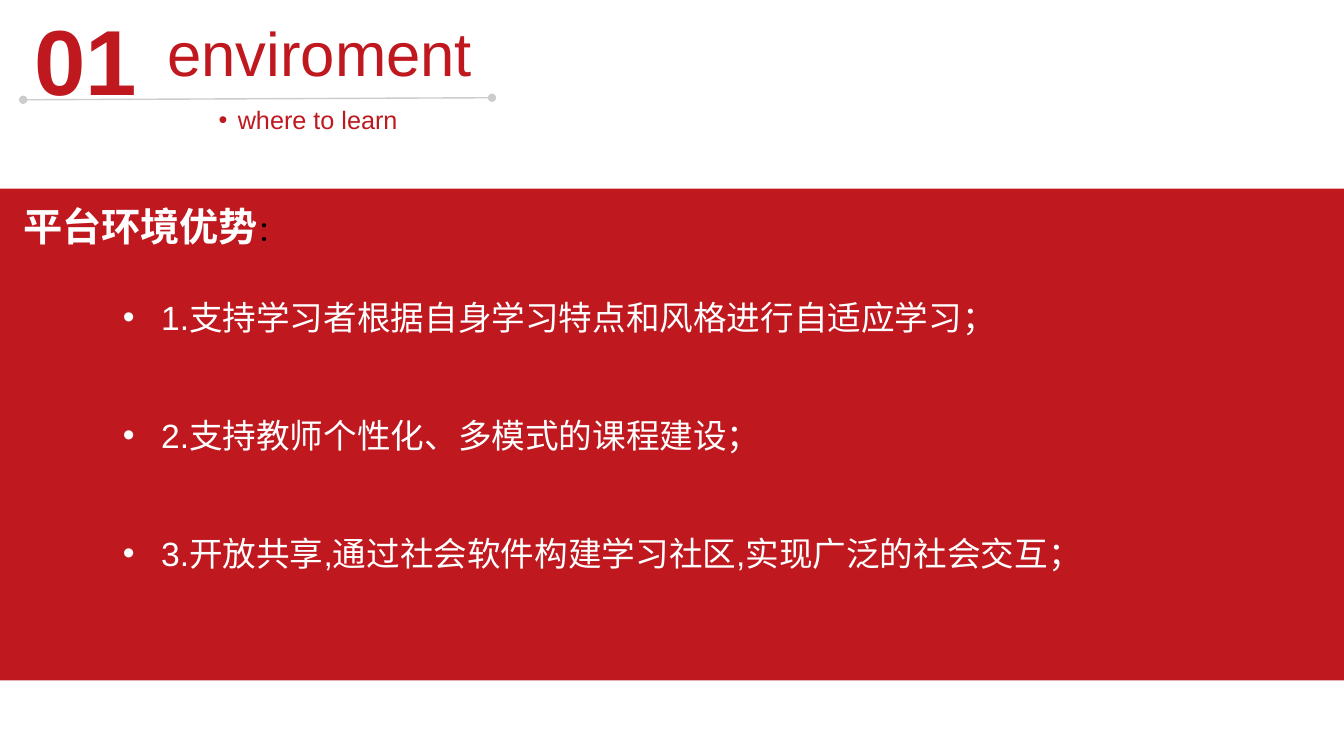
from lxml import etree
from pptx import Presentation
from pptx.dml.color import RGBColor
from pptx.enum.lang import MSO_LANGUAGE_ID
from pptx.enum.shapes import MSO_CONNECTOR, MSO_SHAPE
from pptx.enum.text import MSO_ANCHOR, MSO_AUTO_SIZE, PP_ALIGN
from pptx.oxml.ns import qn
from pptx.util import Inches, Pt

STRAIGHT = MSO_CONNECTOR.STRAIGHT
RECTANGLE = MSO_SHAPE.RECTANGLE
TOP = MSO_ANCHOR.TOP
NO_FIT = MSO_AUTO_SIZE.NONE
LEFT, CENTER = PP_ALIGN.LEFT, PP_ALIGN.CENTER
CHINESE = MSO_LANGUAGE_ID.SIMPLIFIED_CHINESE
ENGLISH = MSO_LANGUAGE_ID.ENGLISH_US

FONT = "Arial"
COLORS = {"red": "BF181F", "white": "FFFFFF", "black": "000000", "rule": "CCCCCC"}


def prepare_frame(shape, box, inset=None):
    shape.left, shape.top, shape.width, shape.height = (Inches(v) for v in box)
    frame = shape.text_frame
    frame.word_wrap = True
    frame.auto_size = NO_FIT
    frame.vertical_anchor = TOP
    if inset is not None:
        frame.margin_left = frame.margin_right = Inches(inset)
        frame.margin_top = frame.margin_bottom = Inches(inset)
    return frame


def write(paragraph, text, size, color, bold=False, align=LEFT, indent=0,
          level=0, spacing=1.0, before=0, language=ENGLISH):
    paragraph.level = level
    paragraph.alignment = align
    paragraph.line_spacing = spacing
    paragraph.space_before = Pt(before)
    if indent:
        properties = paragraph._p.get_or_add_pPr()
        properties.set("marL", str(Inches(indent)))
        properties.set("indent", str(-Inches(indent)))
        etree.SubElement(properties, qn("a:buFont")).set("typeface", FONT)
        etree.SubElement(properties, qn("a:buChar")).set("char", "•")
    run = paragraph.add_run()
    run.text = text
    run.font.name = FONT
    run.font.size = Pt(size)
    run.font.bold = bold
    run.font.color.rgb = RGBColor.from_string(COLORS[color])
    run.font.language_id = language


prs = Presentation()
prs.slide_width, prs.slide_height = Inches(13.33), Inches(7.5)
slide = prs.slides.add_slide(prs.slide_layouts[5])
shapes = slide.shapes

title = prepare_frame(shapes.title, (1.66, 0.15, 4.69, 0.74), inset=0)
write(title.paragraphs[0], "enviroment", 44, "red")

panel = shapes.add_shape(RECTANGLE, Inches(-0.02), Inches(1.87), Inches(13.35), Inches(4.88))
panel.shadow.inherit = False
panel.fill.solid()
panel.fill.fore_color.rgb = RGBColor.from_string(COLORS["red"])
panel.line.fill.background()

advantages = prepare_frame(shapes.add_textbox(0, 0, 0, 0), (1.12, 2.7, 11.06, 3.73))
advantage_texts = [
    "1.支持学习者根据自身学习特点和风格进行自适应学习；",
    "2.支持教师个性化、多模式的课程建设；",
    "3.开放共享,通过社会软件构建学习社区,实现广泛的社会交互；",
]
for i, text in enumerate(advantage_texts):
    paragraph = advantages.add_paragraph() if i else advantages.paragraphs[0]
    write(paragraph, text, 24, "white", indent=0.38, spacing=1.5,
          before=41 if i else 0, language=CHINESE)

number = prepare_frame(shapes.add_textbox(0, 0, 0, 0), (-0.21, 0.03, 2.12, 1.11), inset=0)
write(number.paragraphs[0], "01", 66, "red", bold=True, align=CENTER)

title_rule = shapes.add_connector(STRAIGHT, Inches(0.23), Inches(0.99), Inches(4.88), Inches(0.97))
title_rule.line.color.rgb = RGBColor.from_string(COLORS["rule"])
title_rule.line.width = Pt(1)
rule_line = title_rule.line._get_or_add_ln()
for end in ("a:headEnd", "a:tailEnd"):
    etree.SubElement(rule_line, qn(end)).set("type", "oval")
etree.SubElement(title_rule._element.spPr, qn("a:effectLst"))

subtitle = prepare_frame(shapes.add_textbox(0, 0, 0, 0), (2.07, 0.99, 2.99, 0.4))
write(subtitle.paragraphs[0], "where to learn", 18, "red", indent=0.19, level=1)

heading = prepare_frame(shapes.add_textbox(0, 0, 0, 0), (0.13, 1.96, 3.45, 0.57))
write(heading.paragraphs[0], "平台环境优势", 28, "white", bold=True, language=CHINESE)
write(heading.paragraphs[0], "：", 20, "black", language=CHINESE)

prs.save("out.pptx")
